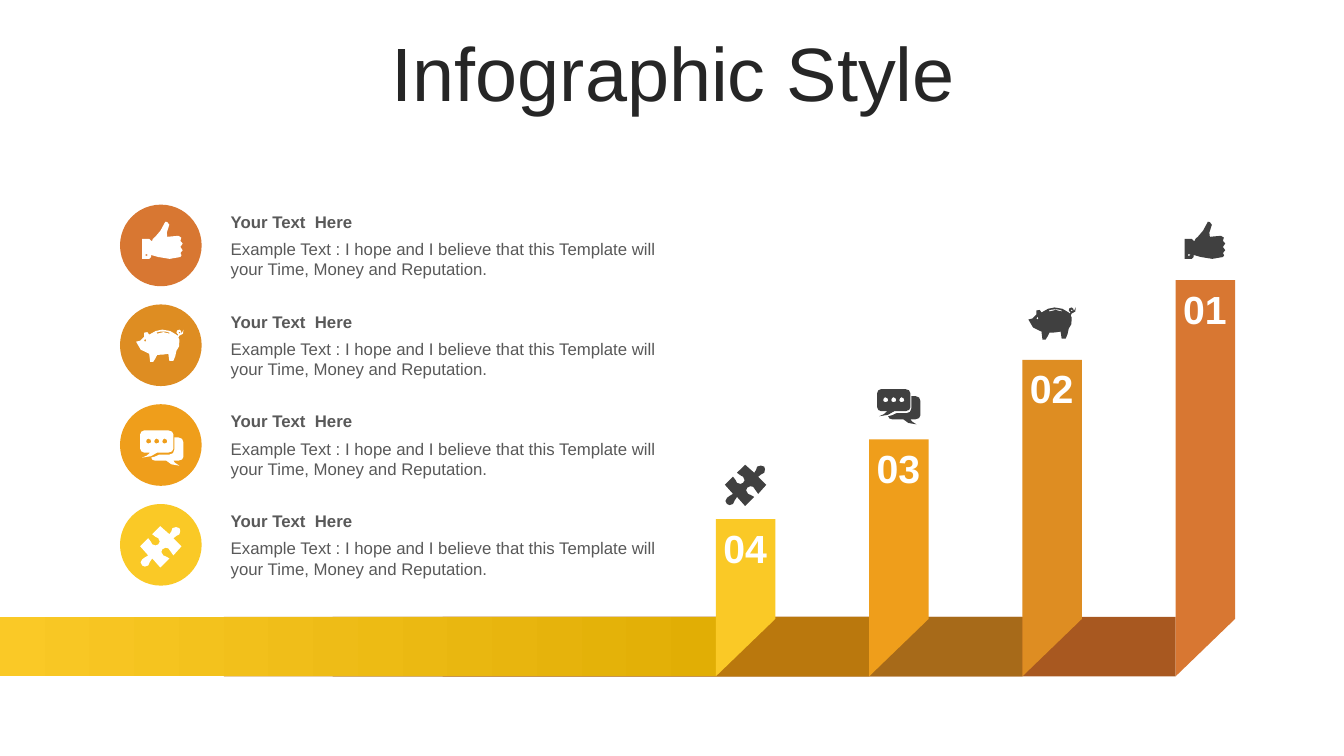
from math import dist

from pptx import Presentation
from pptx.dml.color import RGBColor
from pptx.enum.shapes import MSO_SHAPE as Shape
from pptx.enum.text import MSO_ANCHOR as Anchor, PP_ALIGN as Align
from pptx.util import Inches, Pt

# Colours
WHITE = RGBColor(0xFF, 0xFF, 0xFF)
TITLE_INK = RGBColor(0x26, 0x26, 0x26)
TEXT_INK = RGBColor(0x59, 0x59, 0x59)
ICON_INK = RGBColor(0x40, 0x40, 0x40)
RUST = RGBColor(0xD8, 0x77, 0x32)
OCHRE = RGBColor(0xDE, 0x8D, 0x22)
ORANGE = RGBColor(0xEF, 0x9E, 0x1B)
YELLOW = RGBColor(0xFA, 0xC9, 0x26)
DARK_RUST = RGBColor(0xA8, 0x58, 0x20)
DARK_OCHRE = RGBColor(0xA7, 0x6A, 0x19)
DARK_ORANGE = RGBColor(0xBA, 0x78, 0x0D)
DARK_YELLOW = RGBColor(0xE1, 0xAE, 0x05)

# Content
TITLE = "Infographic Style"
HEADING = "Your Text  Here"
BODY = ("Example Text : I hope and I believe that this Template will "
        "your Time, Money and Reputation.")

# Icon outlines in hundredths of an inch: a start point, then segments
# of two numbers (straight line) or six numbers (Bezier curve)
THUMB = [
    "4 32, 3 33, 4 34, 6 33",
    "23 0, 24 -1 26 1 27 3, 28 8 20 15 25 15, 29 15 31 14 36 14, "
    "39 14 40 17 38 19, 40 20 42 23 38 25, 42 27 40 30 38 31, "
    "40 33 39 34 38 35, 33 37 22 38 16 35, 9 33, 9 35, 7 37, 0 37, "
    "0 17, 7 17, 9 19, 10 19, 10 18 11 16 13 15, 16 10 21 8 22 2",
]
PIG = [
    "9 9, 8 11, 9 12, 10 11",
    "43 2, 42 3, 43 4, 44 3",
    "27 2, 25 2 22 2 20 3, 21 4, 25 2 29 2 33 4, 33 3, 31 2 29 2 27 2",
    "26 0, 31 0 37 2 40 5, 41 6, 42 5, 40 3, 40 1 41 0 43 0, "
    "44 0 45 2 45 3, 45 4, 47 0, 48 4 46 5 43 6, 42 8, 43 10, "
    "44 15 42 19 40 21, 40 25 38 28 37 31, 33 31, 32 24, "
    "28 25 24 25 21 25, 20 28 18 30 17 32, 14 32, 13 24, "
    "9 22 -1 19 0 12, 4 11, 8 7, 8 3, 11 1 12 3 13 5, 16 2 23 0 26 0",
]
CHAT_DOTS = [
    f"{x} 8, {x - 1} 8 {x - 2} 10 {x - 2} 11, {x - 2} 12 {x - 1} 13 {x} 13, "
    f"{x + 2} 13 {x + 3} 12 {x + 3} 11, {x + 3} 10 {x + 2} 8 {x} 8"
    for x in (24, 16, 8)
]
CHAT = CHAT_DOTS + [
    "34 7, 38 7, 41 7 43 9 43 12, 43 26, 43 28 41 30 38 30, 33 30, "
    "34 31 34 33 39 35, 31 34 30 34 26 30, 15 30, 13 30 11 29 11 27, "
    "14 27 16 25 19 24, 29 24, 32 24 34 22 34 19",
    "4 0, 28 0, 31 0 33 2 33 4, 33 18, 33 20 31 22 28 22, 17 22, "
    "12 26 10 26 2 27, 7 25 7 25 10 22, 4 22, 2 22 0 20 0 18, 0 4, "
    "0 2 2 0 4 0",
]
PUZZLE = [
    "39 2, 40 3 40 6 39 8, 37 10 35 9 33 12, 41 20, 33 29, "
    "30 27 31 24 28 22, 26 21 24 21 22 23, 21 24 20 27 23 29, "
    "25 31 26 29 29 32, 20 41, 12 32, 9 35 10 36 8 39, 6 41 3 40 2 39, "
    "0 37 0 35 2 33, 3 30 6 32 8 29, 0 20, 8 12, 11 14 10 16 12 18, "
    "14 20 17 19 18 18, 20 17 20 14 18 12, 15 10 15 11 12 8, 20 0, 29 8, "
    "32 6 30 5 32 2, 34 0 37 1 39 2",
]

# Number, colour, icon, icon corner in the list, icon corner above the bar
ITEMS = [
    ("01", RUST, THUMB, (1.41, 2.20), (11.75, 2.20)),
    ("02", OCHRE, PIG, (1.35, 3.27), (10.20, 3.05)),
    ("03", ORANGE, CHAT, (1.39, 4.27), (8.70, 3.86)),
    ("04", YELLOW, PUZZLE, (1.39, 5.22), (7.19, 4.61)),
]
# Left end and colour of the floor strips, each ending at a bar
FLOOR = [(4.39, DARK_RUST), (3.30, DARK_OCHRE), (2.22, DARK_ORANGE), (0, None)]

# Layout in inches
BAR_LEFT, BAR_STEP, BAR_WIDTH = 11.66, 1.52, 0.59
BAR_TOP, BAR_RISE, BAR_ELBOW = 2.78, 0.79, 6.14
FLOOR_TOP, FLOOR_BOTTOM = 6.12, 6.71
LIST_TOP, LIST_STEP, CIRCLE = 2.03, 0.99, 0.81
SHORT_CURVE = 0.02

presentation = Presentation()
presentation.slide_width, presentation.slide_height = Inches(13.33), Inches(7.5)
slide = presentation.slides.add_slide(presentation.slide_layouts[6])


def paint(shape, color):
    shape.shadow.inherit = False
    shape.line.fill.background()
    shape.fill.solid()
    shape.fill.fore_color.rgb = color


def add_block(kind, left, top, width, height, color):
    shape = slide.shapes.add_shape(
        kind, Inches(left), Inches(top), Inches(width), Inches(height))
    paint(shape, color)
    return shape


def add_text(text, left, top, width, height, size, color, bold=False,
             align=Align.LEFT):
    box = slide.shapes.add_textbox(
        Inches(left), Inches(top), Inches(width), Inches(height))
    box.text_frame.word_wrap = True
    box.text_frame.text = text
    paragraph = box.text_frame.paragraphs[0]
    paragraph.alignment = align
    font = paragraph.runs[0].font
    font.name, font.size, font.bold = "Arial", Pt(size), bold
    font.color.rgb = color
    return box


def add_outline(contours, color):
    """Draw closed contours, given as lists of points in inches."""
    contours = [[(Inches(x), Inches(y)) for x, y in c] for c in contours]
    builder = slide.shapes.build_freeform(*contours[0][0])
    for number, points in enumerate(contours):
        if number:
            builder.move_to(*points[0])
        builder.add_line_segments(points[1:], close=True)
    paint(builder.convert_to_shape(), color)


def trace(contour, corner):
    """Turn one icon contour into points, with a midpoint on longer curves."""
    points = []
    for segment in contour.split(","):
        numbers = [int(n) / 100 for n in segment.split()]
        pairs = [(corner[0] + x, corner[1] + y)
                 for x, y in zip(numbers[::2], numbers[1::2])]
        if len(pairs) == 3 and dist(points[-1], pairs[-1]) > SHORT_CURVE:
            curve = zip(points[-1], *pairs)
            points.append(tuple((a + 3 * b + 3 * c + d) / 8 for a, b, c, d in curve))
        points.append(pairs[-1])
    return points


# Title
title = add_text(TITLE, 0.35, 0.37, 12.66, 0.79, 54, TITLE_INK, align=Align.CENTER)
title.text_frame.vertical_anchor = Anchor.MIDDLE
title.text_frame.paragraphs[0].line_spacing = 0.9

# Floor strips
for index, (left, color) in enumerate(FLOOR):
    width = BAR_LEFT - index * BAR_STEP - left
    strip = add_block(Shape.RECTANGLE, left, FLOOR_TOP, width,
                      FLOOR_BOTTOM - FLOOR_TOP, color or YELLOW)
    if color is None:
        strip.fill.gradient()
        strip.fill.gradient_angle = 180
        for stop, shade in zip(strip.fill.gradient_stops, (DARK_YELLOW, YELLOW)):
            stop.color.rgb = shade

# List entries and bars
for index, (number, color, icon, list_corner, bar_corner) in enumerate(ITEMS):
    top = LIST_TOP + index * LIST_STEP
    add_block(Shape.OVAL, 1.19, top, CIRCLE, CIRCLE, color)
    add_text(HEADING, 2.19, top + 0.02, 4.6, 0.3, 12, TEXT_INK, bold=True)
    add_text(BODY, 2.19, top + 0.29, 4.6, 0.5, 12, TEXT_INK)

    left, top = BAR_LEFT - index * BAR_STEP, BAR_TOP + index * BAR_RISE
    right = left + BAR_WIDTH
    add_outline([[(left, top), (right, top), (right, BAR_ELBOW),
                  (left, FLOOR_BOTTOM)]], color)
    add_text(number, left - 0.04, top, 0.66, 0.57, 28, WHITE, bold=True,
             align=Align.CENTER)

    for corner, ink in ((list_corner, WHITE), (bar_corner, ICON_INK)):
        add_outline([trace(contour, corner) for contour in icon], ink)

presentation.save("out.pptx")
